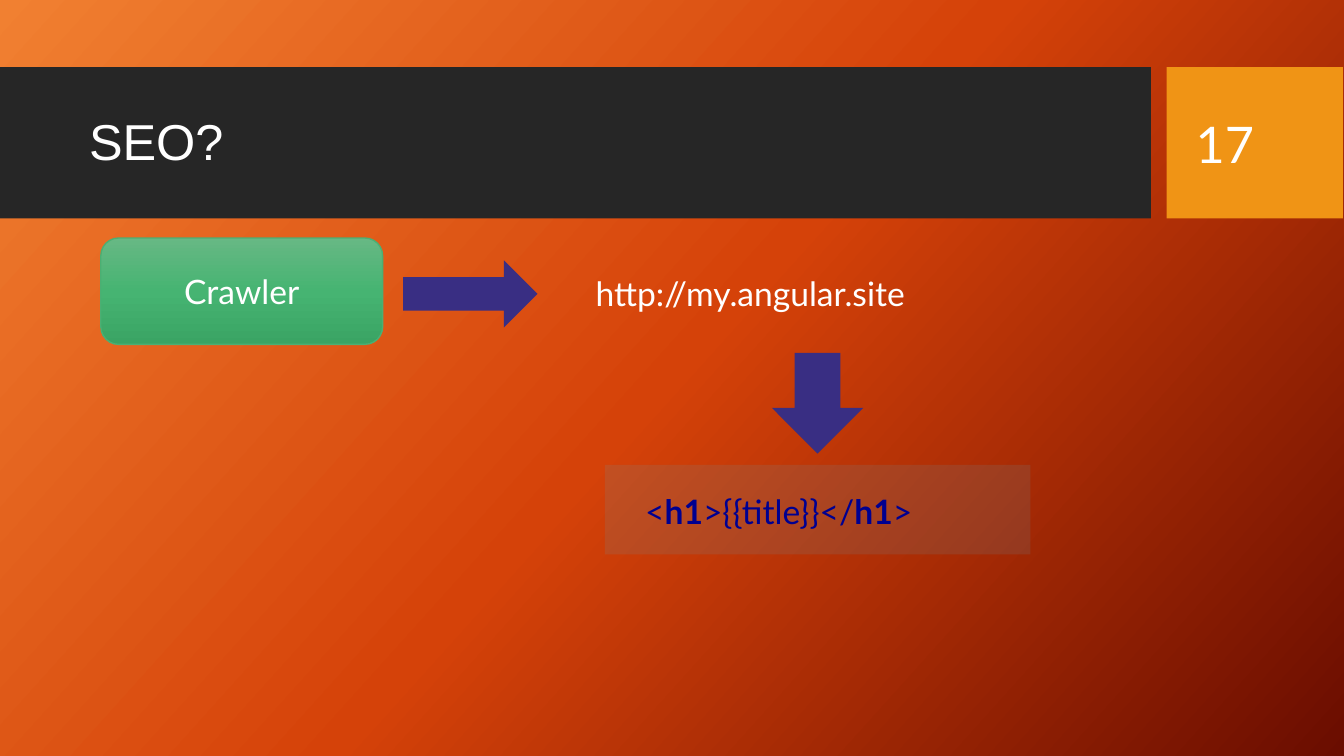
from dataclasses import dataclass

from lxml import etree
from pptx import Presentation
from pptx.dml.color import RGBColor
from pptx.enum.shapes import MSO_SHAPE
from pptx.enum.text import MSO_ANCHOR, PP_ALIGN
from pptx.oxml.ns import qn
from pptx.util import Pt

RECT, ROUNDED = MSO_SHAPE.RECTANGLE, MSO_SHAPE.ROUNDED_RECTANGLE
RIGHT_ARROW, DOWN_ARROW = MSO_SHAPE.RIGHT_ARROW, MSO_SHAPE.DOWN_ARROW
TOP, MIDDLE = MSO_ANCHOR.TOP, MSO_ANCHOR.MIDDLE
LEFT, CENTER = PP_ALIGN.LEFT, PP_ALIGN.CENTER


@dataclass(frozen=True)
class Theme:
    white: str = "FFFFFF"
    band: str = "262626"
    number: str = "F09415"
    arrow: str = "392E83"
    code: str = "000090"
    code_box: str = "5AA6C0"
    crawler_line: str = "4BAF73"
    background: tuple = ("F18031", "D54209", "6A0D00")
    crawler: tuple = ("67B884", "46B472", "3AA464")
    heading_font: str = "Arial"
    body_font: str = "Lato"
    heading_size: float = 27
    body_size: float = 18


@dataclass(frozen=True)
class Block:
    kind: MSO_SHAPE
    box: tuple
    color: str


@dataclass(frozen=True)
class Label:
    text: str
    bold: bool = False


THEME = Theme()
BANDS = (
    Block(RECT, (0, 36, 616.5, 81), THEME.band),
    Block(RECT, (625, 36, 94.5, 81), THEME.number),
)
ARROWS = (
    Block(RIGHT_ARROW, (216, 139.5, 72, 36), THEME.arrow),
    Block(DOWN_ARROW, (413.5, 189, 49, 54), THEME.arrow),
)
CODE = (Label("<"), Label("h1", True), Label(">{{title}}</"), Label("h1", True), Label(">"))


def set_gradient(fill, element, colors: tuple, angle: float) -> None:
    fill.gradient()
    fill.gradient_angle = 360 - angle
    stops = element.find(".//" + qn("a:gsLst"))
    for stop in list(stops):
        stops.remove(stop)
    for i, color in enumerate(colors):
        gs = etree.SubElement(stops, qn("a:gs"), pos=str(i * 100000 // (len(colors) - 1)))
        etree.SubElement(gs, qn("a:srgbClr"), val=color)


def add_block(s, block: Block):
    sp = s.shapes.add_shape(block.kind, *map(Pt, block.box))
    sp.shadow.inherit = False
    sp.fill.solid()
    sp.fill.fore_color.rgb = RGBColor.from_string(block.color)
    sp.line.fill.background()
    return sp


def write(sp, labels: tuple, size: float, font: str = THEME.body_font,
          color: str = THEME.white, align=LEFT, anchor=MIDDLE):
    tf = sp.text_frame
    tf.vertical_anchor = anchor
    p = tf.paragraphs[0]
    p.alignment = align
    for label in labels:
        r = p.add_run()
        r.text = label.text
        r.font.name = font
        r.font.size = Pt(size)
        r.font.bold = label.bold
        r.font.color.rgb = RGBColor.from_string(color)
    return p


def add_text(s, box: tuple, text: str, size: float, wrap: bool, anchor) -> None:
    sp = s.shapes.add_textbox(*map(Pt, box))
    sp.text_frame.word_wrap = wrap
    write(sp, (Label(text),), size, anchor=anchor)


prs = Presentation()
prs.slide_width, prs.slide_height = Pt(720), Pt(405)
s = prs.slides.add_slide(prs.slide_layouts[5])
set_gradient(s.background.fill, s.element, THEME.background, 42)

for band in BANDS:
    add_block(s, band)

title = s.shapes.title
s.shapes.element.append(title.element)
title.left, title.top, title.width, title.height = map(Pt, (40.5, 45, 568, 64))
p = write(title, (Label("SEO?"),), THEME.heading_size, THEME.heading_font)
p.line_spacing = 0.9
add_text(s, (633.5, 45, 68.5, 64), "17", THEME.heading_size, True, MIDDLE)

crawler = add_block(s, Block(ROUNDED, (54, 127.5, 151, 57), THEME.crawler[1]))
set_gradient(crawler.fill, crawler.element, THEME.crawler, 90)
crawler.line.color.rgb = RGBColor.from_string(THEME.crawler_line)
crawler.line.width = Pt(0.75)
write(crawler, (Label("Crawler"),), THEME.body_size, align=CENTER)

add_text(s, (312, 142.5, 182, 29), "http://my.angular.site", THEME.body_size, False, TOP)

code = add_block(s, Block(RECT, (324, 249, 228, 48), THEME.code_box))
alpha_parent = code.element.spPr.find(".//" + qn("a:srgbClr"))
etree.SubElement(alpha_parent, qn("a:alpha"), val="14000")
tf = code.text_frame
tf.margin_left = tf.margin_right = Pt(21.6)
tf.margin_top = tf.margin_bottom = Pt(18)
p = write(code, CODE, THEME.body_size, color=THEME.code, anchor=TOP)
p.line_spacing = 0.8
p.space_before = Pt(3.6)
indent = Pt(27)
p_pr = p._p.get_or_add_pPr()
p_pr.set("marL", str(indent))
p_pr.set("indent", str(-indent))

for arrow in ARROWS:
    add_block(s, arrow)

prs.save("out.pptx")
